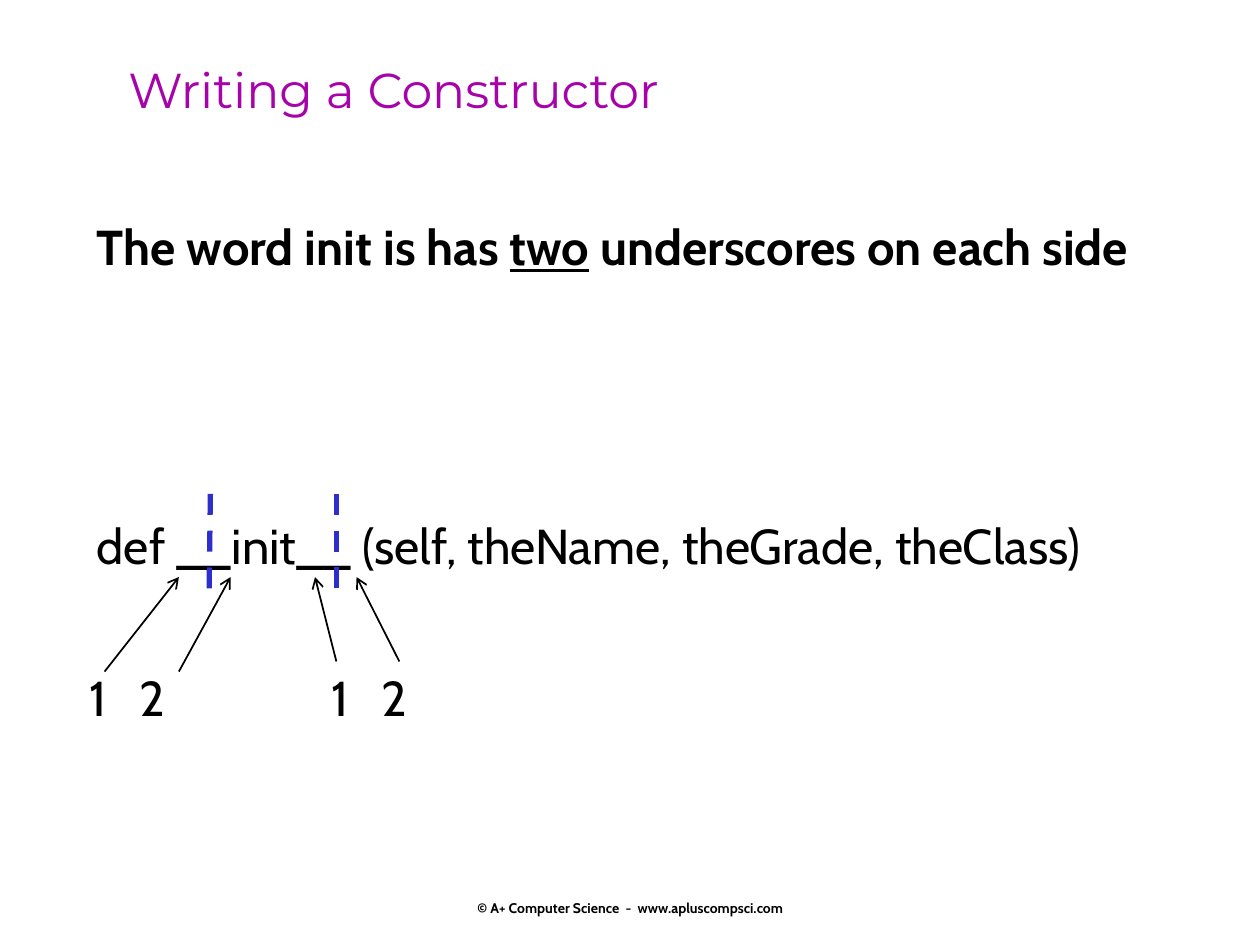
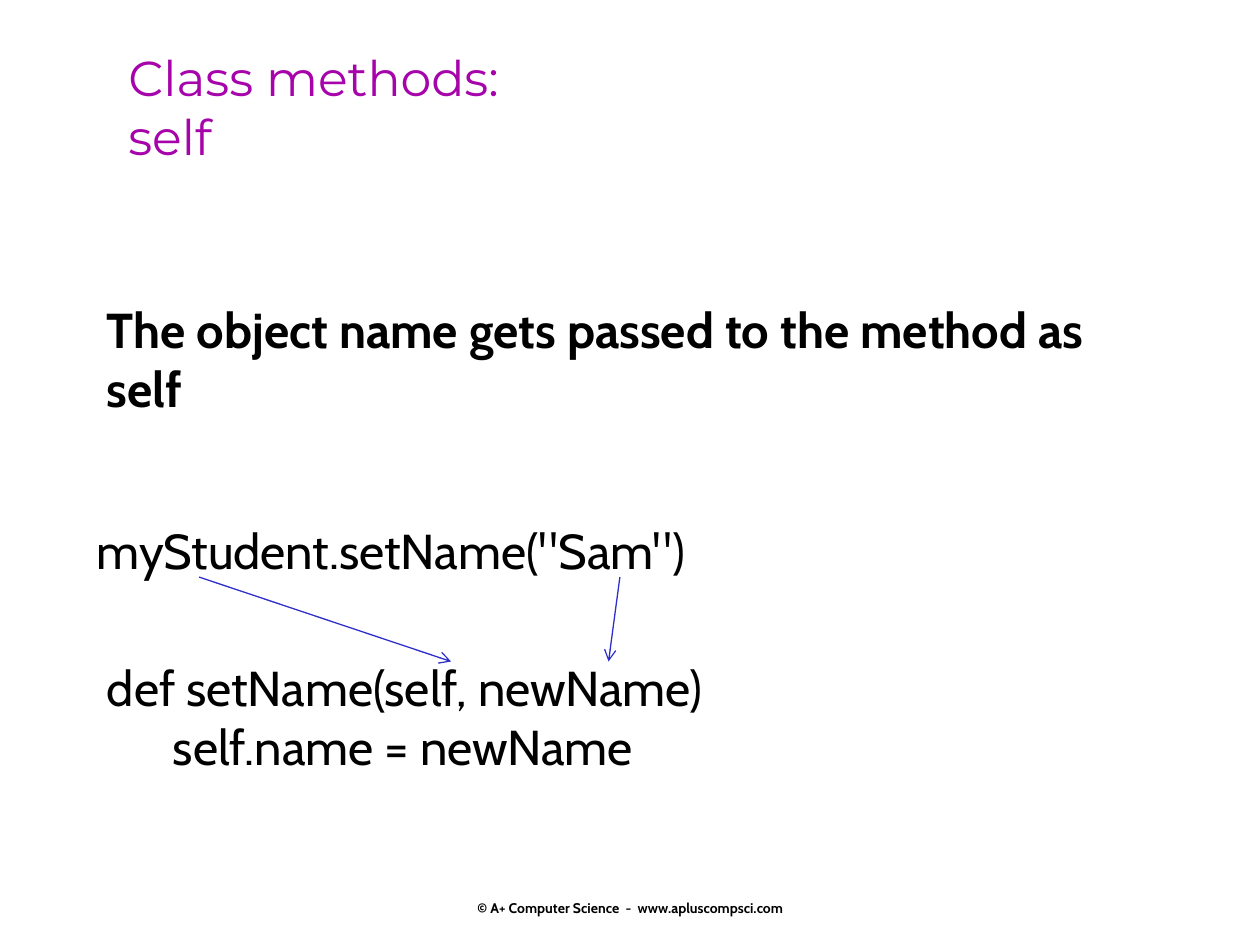
"""Build two slides about constructors and self in Python classes."""
from lxml.etree import SubElement
from pptx import Presentation
from pptx.dml.color import RGBColor
from pptx.enum.dml import MSO_LINE
from pptx.enum.shapes import MSO_CONNECTOR
from pptx.enum.text import MSO_ANCHOR, PP_ALIGN
from pptx.oxml.ns import qn
from pptx.util import Inches, Pt

PURPLE = RGBColor(0xA6, 0x03, 0xAB)
BLUE = RGBColor(0x2E, 0x2E, 0xCB)
BLACK = RGBColor(0, 0, 0)
TITLE_FONT, BODY_FONT = "Montserrat", "Cabin"
DIGIT_TAB = 0.4

FOOTER = "© A+ Computer Science  -  www.apluscompsci.com"
FOOTER_AT = (3.42, 6.96, 3.17, 0.5)

SLIDES = [
    {
        "title": (["Writing a Constructor"], (0.92, 0.42, 7.83, 1)),
        "statement": (["The word init is has ", "two", " underscores on each side"],
                      (0.67, 1.67, 8.92, 1.04)),
        "code": [(["def __init__ (self, theName, theGrade, theClass)"],
                  (0.67, 4.04, 8.92, 0.57))],
        "digits": [("1\t2", (left, 5.25, 0.94, 0.57)) for left in (0.61, 2.53)],
        "dividers": [(1.67, 3.92, 1.66, 4.67), (2.67, 3.92, 2.67, 4.67)],
        "arrows": [(0.83, 5.33, 1.42, 4.58), (1.42, 5.33, 1.83, 4.58),
                   (2.67, 5.25, 2.5, 4.58), (3.17, 5.25, 2.83, 4.58)],
        "arrow_style": (BLACK, 1),
    },
    {
        "title": (["Class methods:", "self"], (0.92, 0.33, 7.83, 1.5)),
        "statement": (["The object name gets passed to the method as self"],
                      (0.75, 2.33, 8.33, 1.04)),
        "code": [(['myStudent.setName("Sam")'], (0.67, 4.08, 6.33, 0.57)),
                 (["def setName(self, newName)", "      self.name = newName"],
                  (0.75, 5.17, 9.17, 1.04))],
        "digits": [],
        "dividers": [],
        "arrows": [(1.58, 4.58, 3.58, 5.25), (4.92, 4.58, 4.83, 5.25)],
        "arrow_style": (BLUE, 0.75),
    },
]


def add_text(slide, lines, at, font=BODY_FONT, size=28, color=BLACK, bold=False, wrap=True):
    """Add a text box whose lines are each a list of spans; odd spans are underlined."""
    frame = slide.shapes.add_textbox(*map(Inches, at)).text_frame
    frame.word_wrap = wrap
    for index, spans in enumerate(lines):
        para = frame.add_paragraph() if index else frame.paragraphs[0]
        for position, text in enumerate(spans):
            span = para.add_run()
            span.text = text
            span.font.name, span.font.size = font, Pt(size)
            span.font.color.rgb, span.font.bold = color, bold
            span.font.underline = position % 2 == 1
    return frame


def add_digits(slide, text, at):
    """Add a pair of digits separated by a tab stop."""
    para = add_text(slide, [[text]], at).paragraphs[0]
    tabs = SubElement(para._p.get_or_add_pPr(), qn("a:tabLst"))
    SubElement(tabs, qn("a:tab"), pos=str(Inches(DIGIT_TAB)), algn="l")


def add_line(slide, ends, color, width):
    """Add a straight line without a shadow."""
    line = slide.shapes.add_connector(MSO_CONNECTOR.STRAIGHT, *map(Inches, ends))
    line.line.color.rgb, line.line.width = color, Pt(width)
    SubElement(line._element.spPr, qn("a:effectLst"))
    return line.line


def add_footer(slide):
    """Add the centred copyright line."""
    frame = add_text(slide, [[FOOTER]], FOOTER_AT, size=8, bold=True, wrap=False)
    frame.vertical_anchor = MSO_ANCHOR.MIDDLE
    frame.paragraphs[0].alignment = PP_ALIGN.CENTER


def build_slide(deck, content):
    """Add one slide with its title, statement, code and markers."""
    slide = deck.slides.add_slide(deck.slide_layouts[6])
    add_footer(slide)
    title, title_at = content["title"]
    add_text(slide, [[line] for line in title], title_at, TITLE_FONT, color=PURPLE, wrap=False)
    statement, statement_at = content["statement"]
    add_text(slide, [statement], statement_at, bold=True)
    for lines, at in content["code"]:
        add_text(slide, [[line] for line in lines], at)
    for ends in content["dividers"]:
        add_line(slide, ends, BLUE, 3).dash_style = MSO_LINE.DASH
    for ends in content["arrows"]:
        arrow = add_line(slide, ends, *content["arrow_style"])
        SubElement(arrow._get_or_add_ln(), qn("a:tailEnd"), type="arrow")
    for text, at in content["digits"]:
        add_digits(slide, text, at)


def main():
    """Build and save the deck."""
    deck = Presentation()
    deck.slide_width, deck.slide_height = Inches(10), Inches(7.5)
    for content in SLIDES:
        build_slide(deck, content)
    deck.save("out.pptx")


if __name__ == "__main__":
    main()
